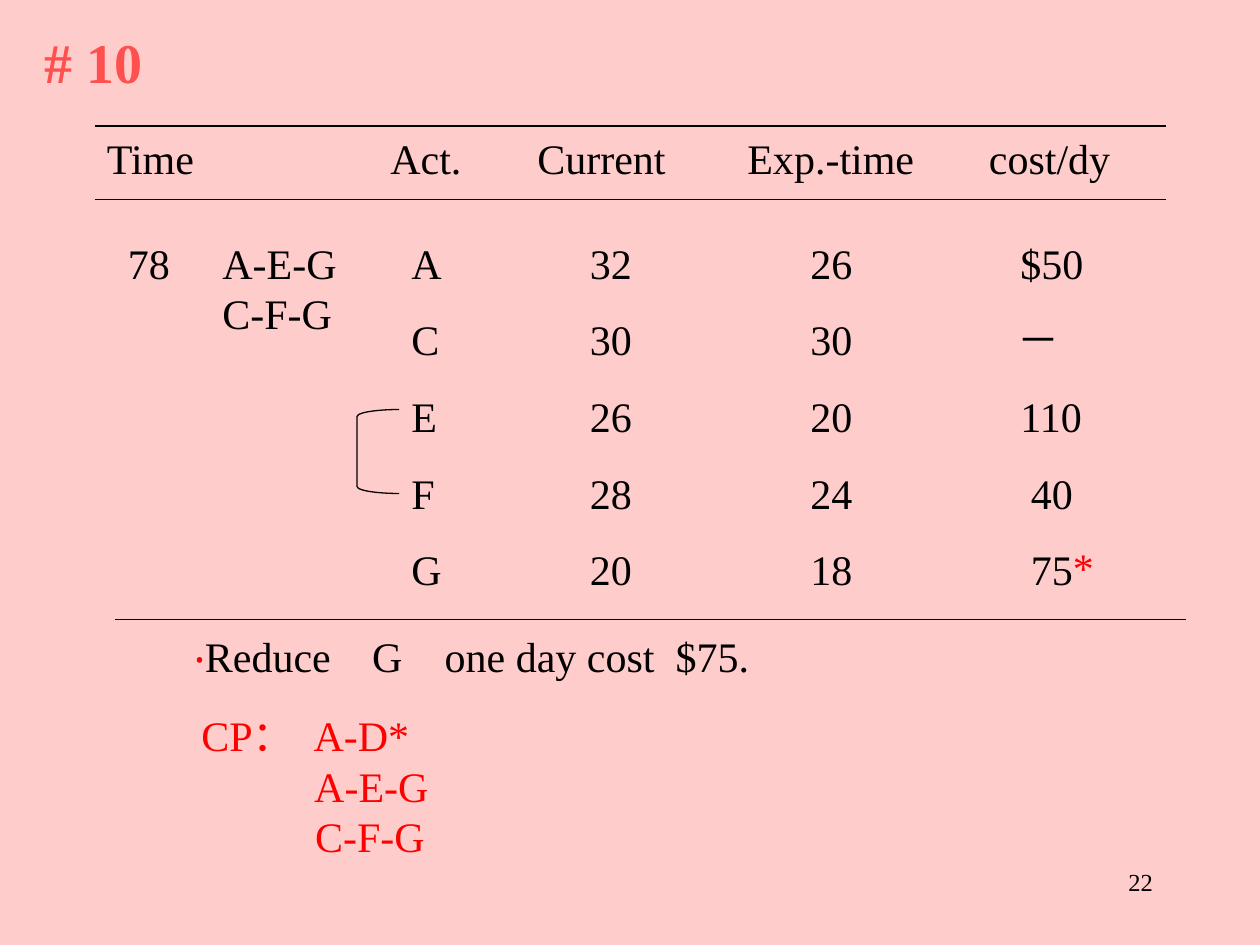
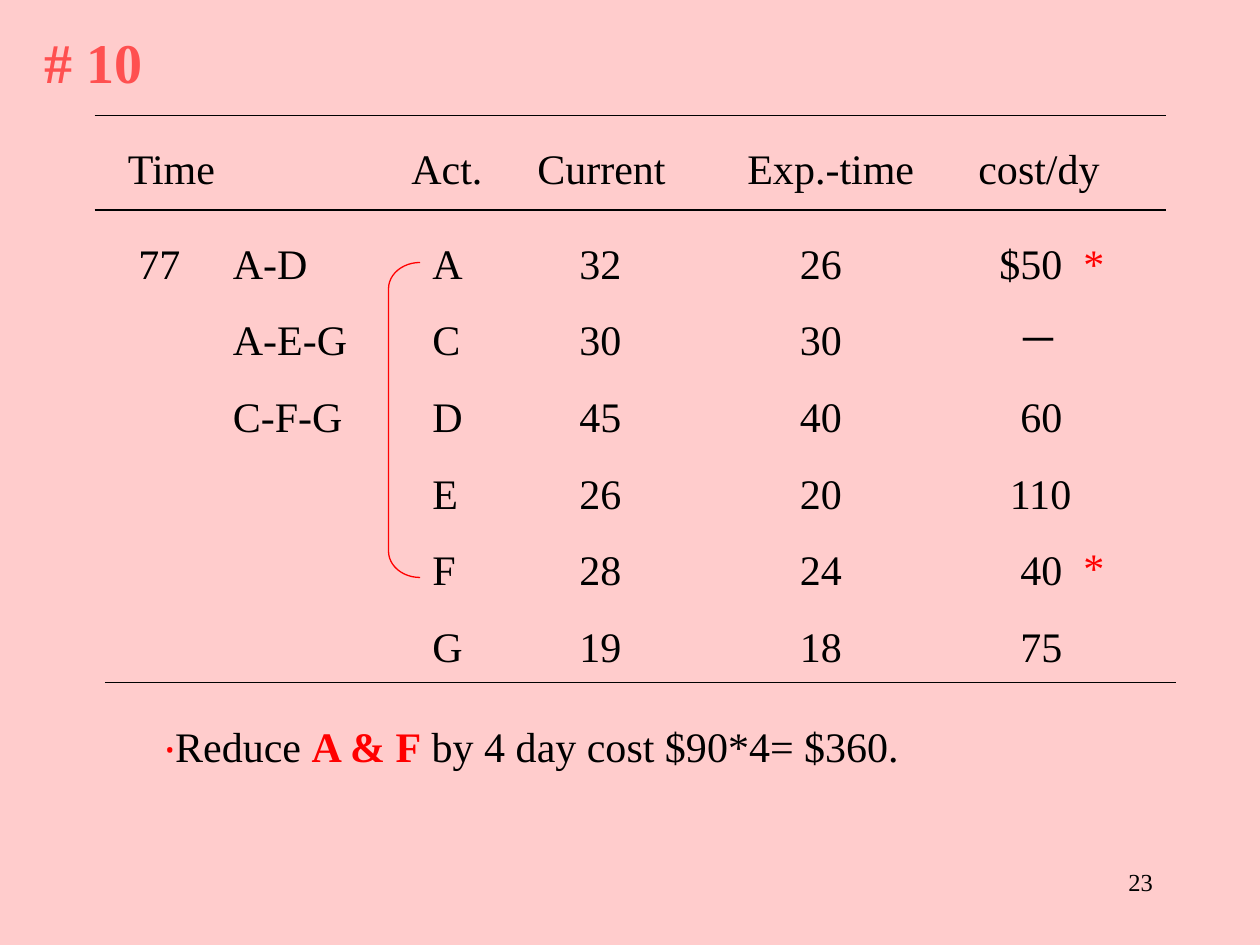
from dataclasses import dataclass

from lxml import etree
from pptx import Presentation
from pptx.dml.color import RGBColor
from pptx.enum import shapes, text
from pptx.oxml import ns
from pptx.util import Pt


@dataclass(frozen=True)
class Theme:
    font: str = "Times New Roman"
    paper: RGBColor = RGBColor(0xFF, 0xCC, 0xCC)
    heading: RGBColor = RGBColor(0xFF, 0x50, 0x50)
    ink: RGBColor = RGBColor(0, 0, 0)
    accent: RGBColor = RGBColor(0xFF, 0, 0)
    title_size: int = 32
    body_size: int = 24
    number_size: int = 14
    line: float = 0.75
    row_gap: int = 15


T = Theme()


def add_text(s, lines, x, y, w, h=None, sp=None, size=T.body_size, color=T.ink,
             bold=False, gap=0, wrap=True, grow=True, align=text.PP_ALIGN.LEFT,
             indents=(), tabs=()):
    """Each line is a string or a list of (text, colour, bold) runs."""
    h = h or 7.2 + len(lines) * 1.2 * size + gap * (len(lines) - 1)
    if sp is None:
        sp = s.shapes.add_textbox(0, 0, 0, 0)
    sp.left, sp.top, sp.width, sp.height = Pt(x), Pt(y), Pt(w), Pt(h)
    tf = sp.text_frame
    tf.word_wrap = wrap
    tf.auto_size = text.MSO_AUTO_SIZE.SHAPE_TO_FIT_TEXT if grow else text.MSO_AUTO_SIZE.NONE
    tf.vertical_anchor = text.MSO_ANCHOR.TOP
    for i, line in enumerate(lines):
        p = tf.add_paragraph() if i else tf.paragraphs[0]
        pPr = p._p.get_or_add_pPr()
        if indents:
            pPr.set("marL", str(Pt(indents[i])))
            pPr.set("indent", "0")
        if tabs:
            tab_list = etree.SubElement(pPr, ns.qn("a:tabLst"))
            for tab in tabs:
                etree.SubElement(tab_list, ns.qn("a:tab"), pos=str(Pt(tab)), algn="l")
        p.alignment = align
        if i and gap:
            p.space_before = Pt(gap)
        for words, run_color, run_bold in [(line, color, bold)] if isinstance(line, str) else line:
            r = p.add_run()
            r.text = words
            r.font.name, r.font.size, r.font.bold = T.font, Pt(size), run_bold
            r.font.color.rgb = run_color


# Column headings and their box widths
HEADINGS = {"Time": 68, "Act.": 58, "Current": 92, "Exp.-time": 116, "cost/dy": 90}
RULE_WIDTH = 612
ROWS_TOP = 132

# Rules are (x, y); columns are (x, width, cells); brackets are (x, y, w, h, colour)
SLIDES = [
    dict(number="22", rules=[(54, 72), (54, 114), (66, 354)],
         heading_y=72, heading_x=[54, 216, 300, 420, 558],
         time=("78", 66), paths=(["A-E-G", "C-F-G"], 120, 0),
         columns=[(228, 42, "A C E F G"), (330, 48, "32 30 26 28 20"),
                  (456, 48, "26 30 20 24 18"), (564, 78, "$50 － 110 40 75")],
         cost_indents=[12, 10.5, 12, 18, 18],
         bracket=(204, 234, 24, 48, T.ink), stars=[(606, 306)]),
    dict(number="23", rules=[(54, 66), (54, 120), (60, 390)],
         heading_y=78, heading_x=[66, 228, 300, 420, 552],
         time=("77", 72), paths=(["A-D", "A-E-G", "C-F-G"], 126, T.row_gap),
         columns=[(240, 42, "A C D E F G"), (324, 42, "32 30 45 26 28 19"),
                  (450, 48, "26 30 40 20 24 18"), (558, 78, "$50 － 60 110 40 75")],
         cost_indents=[6, 16.5, 18, 12, 18, 18],
         bracket=(222, 150, 18, 180, T.accent), stars=[(612, 132), (612, 306)]),
]

prs = Presentation()
prs.slide_width, prs.slide_height = Pt(720), Pt(540)
fill = prs.slide_master.background.fill
fill.solid()
fill.fore_color.rgb = T.paper

for d in SLIDES:
    s = prs.slides.add_slide(prs.slide_layouts[5])

    # Title
    add_text(s, ["# 10"], 18, 12, 70.5, sp=s.shapes.title, size=T.title_size,
             color=T.heading, bold=True, wrap=False)

    # Rules
    for x, y in d["rules"]:
        rule = s.shapes.add_connector(shapes.MSO_CONNECTOR.STRAIGHT,
                                      Pt(x), Pt(y), Pt(x + RULE_WIDTH), Pt(y))
        rule.line.color.rgb = T.ink
        rule.line.width = Pt(T.line)
        etree.SubElement(rule._element.spPr, ns.qn("a:effectLst"))

    # Headings
    for (heading, w), x in zip(HEADINGS.items(), d["heading_x"]):
        add_text(s, [heading], x, d["heading_y"], w)

    # Time, critical paths and activity columns
    days, x = d["time"]
    add_text(s, [days], x, ROWS_TOP, 42)
    paths, x, gap = d["paths"]
    add_text(s, paths, x, ROWS_TOP, 90, gap=gap)
    for i, (x, w, cells) in enumerate(d["columns"]):
        add_text(s, cells.split(), x, ROWS_TOP, w, gap=T.row_gap,
                 indents=d["cost_indents"] if i == 3 else ())

    # Bracket joining the activities
    x, y, w, h, color = d["bracket"]
    sp = s.shapes.add_shape(shapes.MSO_SHAPE.LEFT_BRACKET, Pt(x), Pt(y), Pt(w), Pt(h))
    sp.adjustments[0] = h / 12 / w
    sp.shadow.inherit = False
    sp.fill.background()
    sp.line.color.rgb = color
    sp.line.width = Pt(T.line)

    # Stars beside the cheapest choice
    for x, y in d["stars"]:
        add_text(s, ["*"], x, y, 30, color=T.accent)

    # Slide number
    add_text(s, [d["number"]], 516, 492, 150, h=36, size=T.number_size,
             grow=False, align=text.PP_ALIGN.RIGHT)

# Conclusions below each table
first, second = prs.slides
dot = ("‧", T.accent, False)
add_text(first, [[dot, ("Reduce\tG\tone day cost\t$75.", T.ink, False)]],
         104, 357, 350, tabs=[101.5, 143, 275])
add_text(first, ["CP：  A-D*", "A-E-G", "C-F-G"], 108, 402, 160, color=T.accent,
         indents=[0, 64.5, 65])
add_text(second, [[dot, ("Reduce ", T.ink, False), ("A & F", T.accent, True),
                   (" by 4 day cost $90*4= $360.", T.ink, False)]], 87, 408, 445)

prs.save("out.pptx")
